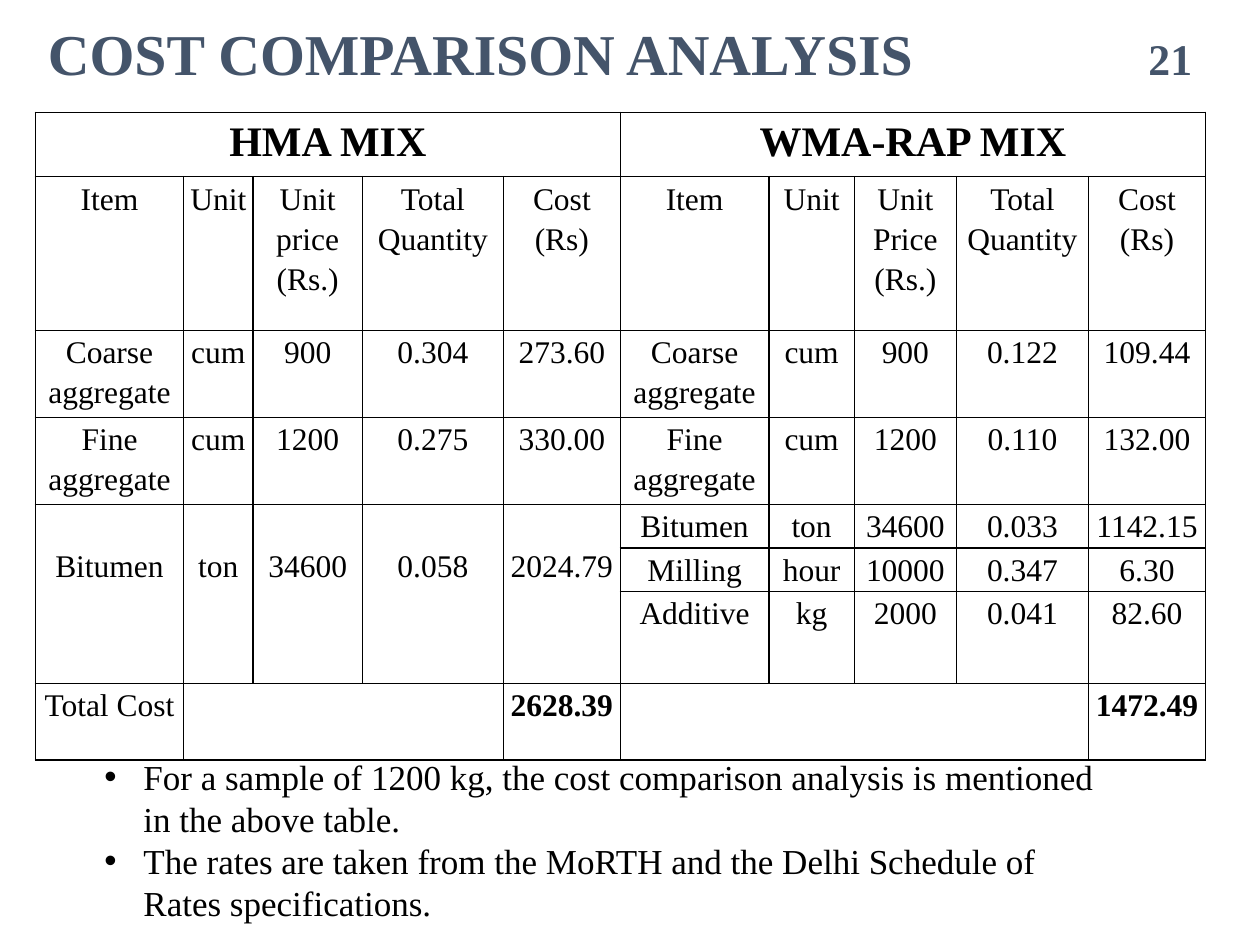
from lxml.etree import SubElement
from pptx import Presentation
from pptx.dml.color import RGBColor
from pptx.enum.text import MSO_ANCHOR, PP_ALIGN
from pptx.oxml.ns import qn
from pptx.util import Inches, Pt

WIDTH, HEIGHT = 10, 7.5
FONT = "Times New Roman"
BLACK, SLATE = "000000", "44546A"

COLUMNS = [1.18, 0.55, 0.87, 1.12, 0.93, 1.18, 0.68, 0.81, 1.05, 0.93]
ROWS = [0.51, 1.22, 0.68, 0.68, 0.32, 0.32, 0.73, 0.61]
COSTS = [
    ["HMA MIX", "", "", "", "", "WMA-RAP MIX", "", "", "", ""],
    ["Item", "Unit", "Unit price\n(Rs.)", "Total\nQuantity", "Cost (Rs)",
     "Item", "Unit", "Unit Price\n(Rs.)", "Total Quantity", "Cost (Rs)"],
    ["Coarse aggregate", "cum", "900", "0.304", "273.60",
     "Coarse aggregate", "cum", "900", "0.122", "109.44"],
    ["Fine aggregate", "cum", "1200", "0.275", "330.00",
     "Fine aggregate", "cum", "1200", "0.110", "132.00"],
    ["Bitumen", "ton", "34600", "0.058", "2024.79",
     "Bitumen", "ton", "34600", "0.033", "1142.15"],
    ["", "", "", "", "", "Milling", "hour", "10000", "0.347", "6.30"],
    ["", "", "", "", "", "Additive", "kg", "2000", "0.041", "82.60"],
    ["Total Cost", "", "", "", "2628.39", "", "", "", "", "1472.49"],
]
BITUMEN_ROW, TOTAL_ROW = 4, 7
# Merged ranges: first row, first column, last row, last column
MERGES = [(0, 0, 0, 4), (0, 5, 0, 9), (TOTAL_ROW, 1, TOTAL_ROW, 3), (TOTAL_ROW, 5, TOTAL_ROW, 8)]
MERGES += [(BITUMEN_ROW, column, BITUMEN_ROW + 2, column) for column in range(5)]

NOTES = [
    "For a sample of 1200 kg, the cost comparison analysis is mentioned in the above table.",
    "The rates are taken from the MoRTH and the Delhi Schedule of Rates specifications.",
]


def color(value):
    return RGBColor.from_string(value)


def place(box):
    """Turn shares of the slide into left, top, width and height."""
    left, top, width, height = box
    return (Inches(left * WIDTH), Inches(top * HEIGHT),
            Inches(width * WIDTH), Inches(height * HEIGHT))


def write(frame, text, size=18, fill=BLACK, bold=False, align=PP_ALIGN.LEFT,
          spacing=1.0, bullet=False):
    frame.word_wrap = True
    for index, line in enumerate(text.split("\n")):
        paragraph = frame.paragraphs[0] if index == 0 else frame.add_paragraph()
        paragraph.alignment, paragraph.line_spacing = align, spacing
        run = paragraph.add_run()
        run.text = line
        run.font.name, run.font.size, run.font.bold = FONT, Pt(size), bold
        run.font.color.rgb = color(fill)
        if bullet:
            properties = paragraph._p.get_or_add_pPr()
            properties.set("marL", str(Inches(0.31)))
            properties.set("indent", str(-Inches(0.31)))
            SubElement(properties, qn("a:buFont")).set("typeface", "Arial")
            SubElement(properties, qn("a:buChar")).set("char", "•")


def add_title(slide, box, text):
    title = slide.shapes.title
    title.left, title.top, title.width, title.height = place(box)
    title.text_frame.vertical_anchor = MSO_ANCHOR.MIDDLE
    write(title.text_frame, text, size=33, fill=SLATE, bold=True, spacing=0.9)


def add_text(slide, box, text, anchor=MSO_ANCHOR.TOP, **style):
    frame = slide.shapes.add_textbox(*place(box)).text_frame
    frame.vertical_anchor = anchor
    write(frame, text, **style)


def add_borders(cell):
    properties = cell._tc.get_or_add_tcPr()
    for side in ("a:lnL", "a:lnR", "a:lnT", "a:lnB"):
        line = SubElement(properties, qn(side))
        line.set("w", str(Pt(1)))
        fill = SubElement(line, qn("a:solidFill"))
        SubElement(fill, qn("a:srgbClr")).set("val", BLACK)


def add_cost_table(slide, box):
    left, top, width, height = place(box)
    table = slide.shapes.add_table(len(ROWS), len(COLUMNS), left, top, width, height).table
    table.first_row = table.horz_banding = False
    for column, share in zip(table.columns, COLUMNS):
        column.width = int(width * share / sum(COLUMNS))
    for row, share in zip(table.rows, ROWS):
        row.height = int(height * share / sum(ROWS))

    for row, texts in enumerate(COSTS):
        for column, text in enumerate(texts):
            cell = table.cell(row, column)
            cell.margin_left = cell.margin_right = Inches(0.04)
            cell.margin_top = cell.margin_bottom = 0
            add_borders(cell)
            cell.fill.background()
            if text:
                write(cell.text_frame, text, size=24 if row == 0 else 18,
                      bold=row == 0 or (row == TOTAL_ROW and column > 0),
                      align=PP_ALIGN.CENTER, spacing=1.15)

    for first_row, first_column, last_row, last_column in MERGES:
        origin = table.cell(first_row, first_column)
        origin.merge(table.cell(last_row, last_column))
        if first_row == BITUMEN_ROW:
            origin.margin_top = Inches(0.32)


def main():
    presentation = Presentation()
    presentation.slide_width, presentation.slide_height = Inches(WIDTH), Inches(HEIGHT)
    slide = presentation.slides.add_slide(presentation.slide_layouts[5])

    # Heading and page number
    add_title(slide, (0.028, -0.035, 0.79, 0.19), "COST COMPARISON ANALYSIS")
    add_text(slide, (0.886, 0.035, 0.07, 0.053), "21", anchor=MSO_ANCHOR.MIDDLE,
             size=25, fill=SLATE, bold=True, align=PP_ALIGN.RIGHT)

    # Cost table and notes below it
    add_cost_table(slide, (0.028, 0.119, 0.929, 0.676))
    add_text(slide, (0.073, 0.793, 0.811, 0.2), "\n".join(NOTES), size=20, bullet=True)

    presentation.save("out.pptx")


if __name__ == "__main__":
    main()
